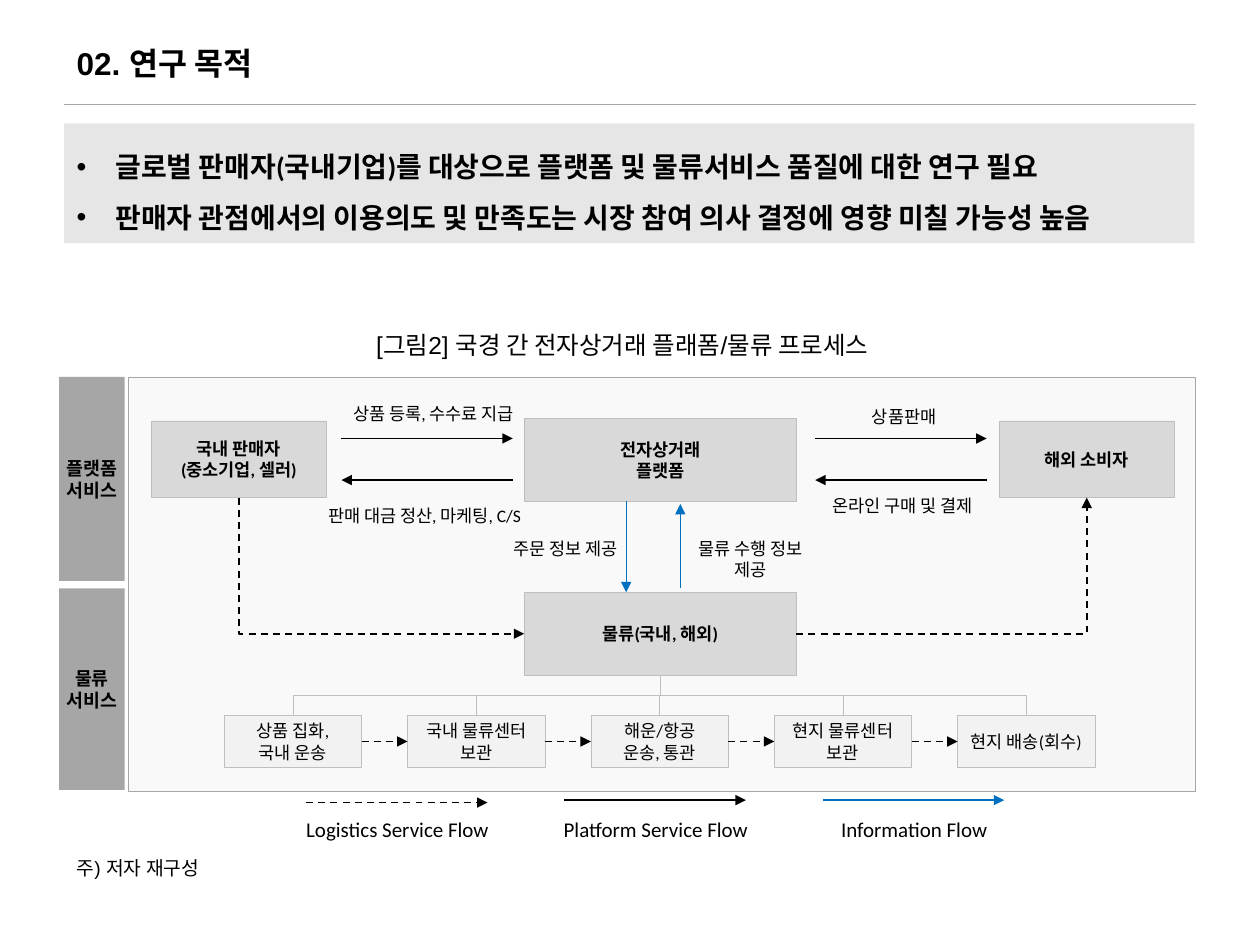
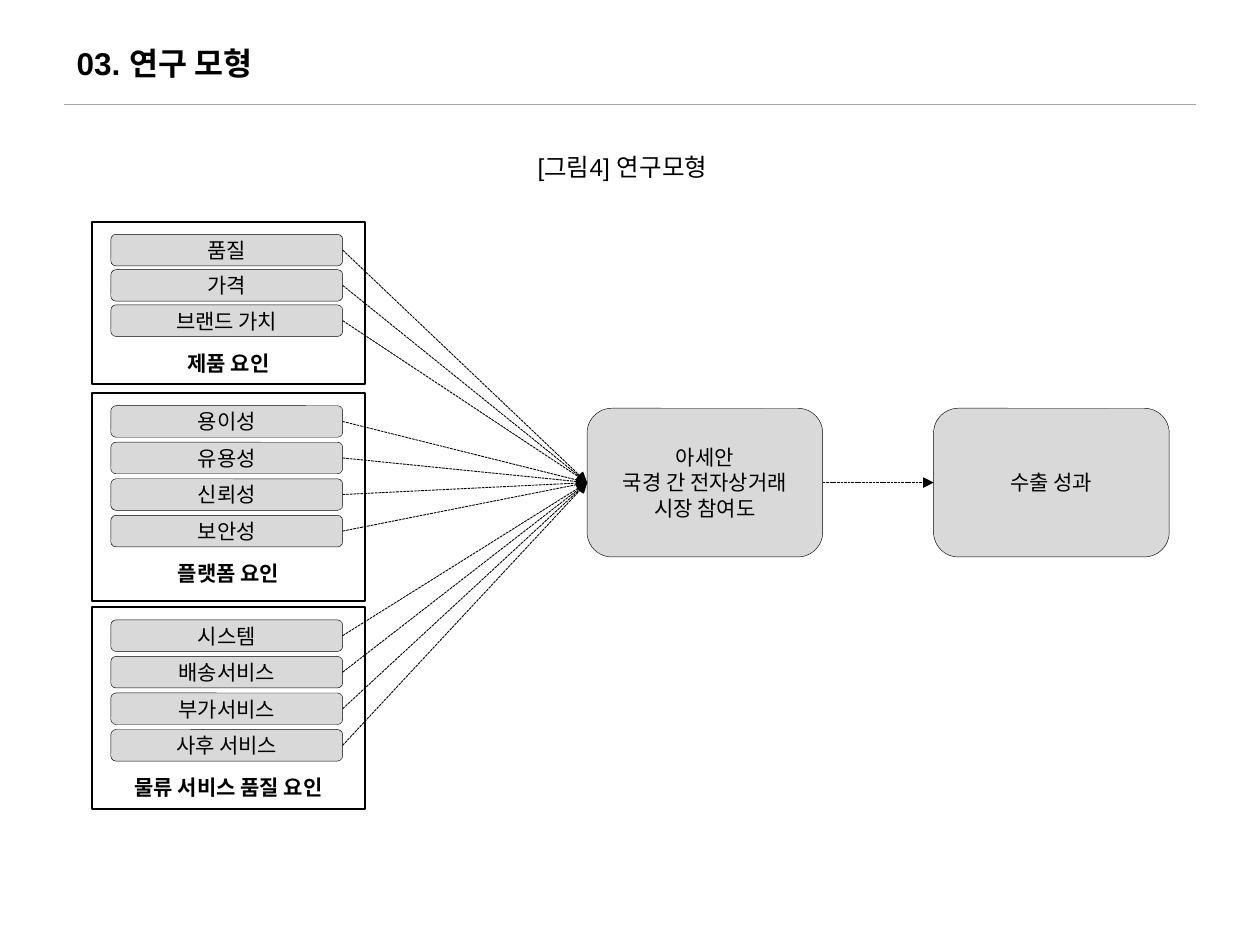
import lxml.etree
import pptx
import pptx.dml.color
import pptx.enum.dml
import pptx.enum.shapes
import pptx.enum.text
import pptx.oxml.ns
import pptx.util

Inches, Pt = pptx.util.Inches, pptx.util.Pt
qn = pptx.oxml.ns.qn
SHAPE = pptx.enum.shapes.MSO_SHAPE
CONNECTOR = pptx.enum.shapes.MSO_CONNECTOR
ALIGN = pptx.enum.text.PP_ALIGN
ANCHOR = pptx.enum.text.MSO_ANCHOR
DASH = pptx.enum.dml.MSO_LINE.DASH
FINE_DASH = pptx.enum.dml.MSO_LINE.SQUARE_DOT

BLACK, BLUE = "000000", "0070C0"
BAND, RULE, EDGE = "E7E6E6", "A6A6A6", "BFBFBF"
BOX, PALE = "D9D9D9", "F2F2F2"
HEADING, BODY = "Arial", "Calibri"
TOP, LEFT, BOTTOM, RIGHT = range(4)


def rgb(hex_string):
    return pptx.dml.color.RGBColor.from_string(hex_string)


def write(frame, text, size, font=BODY, bold=False, align=ALIGN.CENTER):
    frame.word_wrap = True
    frame.text = text
    for paragraph in frame.paragraphs:
        paragraph.alignment = align
        for run in paragraph.runs:
            run.font.size = Pt(size)
            run.font.name = font
            run.font.bold = bold
            run.font.color.rgb = rgb(BLACK)


def label(slide, box, text, size, **style):
    textbox = slide.shapes.add_textbox(*map(Inches, box))
    write(textbox.text_frame, text, size, **style)


def block(slide, box, fill=None, edge=None, weight=0.25, kind=SHAPE.RECTANGLE,
          text="", size=10, bold=False, align=ALIGN.CENTER, side_inset=0.1):
    shape = slide.shapes.add_shape(kind, *map(Inches, box))
    shape.shadow.inherit = False
    if fill:
        shape.fill.solid()
        shape.fill.fore_color.rgb = rgb(fill)
    else:
        shape.fill.background()
    if edge:
        shape.line.color.rgb = rgb(edge)
        shape.line.width = Pt(weight)
    else:
        shape.line.fill.background()
    if text:
        frame = shape.text_frame
        frame.vertical_anchor = ANCHOR.MIDDLE
        frame.margin_left = frame.margin_right = Inches(side_inset)
        write(frame, text, size, bold=bold, align=align)
    return shape


def connect(slide, start, end, color=BLACK, weight=1, dash=None, arrow=True,
            kind=CONNECTOR.STRAIGHT):
    """Draw a line; each end is a point (x, y) or a pair (shape, side)."""
    joined = [isinstance(stop[0], (int, float)) is False for stop in (start, end)]
    points = [(0, 0) if glued else stop for glued, stop in zip(joined, (start, end))]
    line = slide.shapes.add_connector(
        kind, *(Inches(value) for point in points for value in point))
    if joined[0]:
        line.begin_connect(*start)
    if joined[1]:
        line.end_connect(*end)
    line.line.color.rgb = rgb(color)
    line.line.width = Pt(weight)
    if dash:
        line.line.dash_style = dash
    properties = line._element.spPr
    if arrow:
        lxml.etree.SubElement(properties.find(qn("a:ln")), qn("a:tailEnd"), type="triangle")
    lxml.etree.SubElement(properties, qn("a:effectLst"))
    return line


def single_bend(line):
    line._element.spPr.find(qn("a:prstGeom")).set("prst", "bentConnector2")


def leave_downward(line):
    """Turn an elbow so that its first leg runs down instead of sideways."""
    goes_left = line.end_x < line.begin_x
    left, top, width, height = line.left, line.top, line.width, line.height
    frame = line._element.spPr.find(qn("a:xfrm"))
    frame.attrib.clear()
    frame.set("rot", "5400000" if goes_left else "16200000")
    if not goes_left:
        frame.set("flipH", "1")
    line.left = left + (width - height) // 2
    line.top = top + (height - width) // 2
    line.width, line.height = height, width


def new_slide(deck, title, caption, caption_top):
    slide = deck.slides.add_slide(deck.slide_layouts[6])
    connect(slide, (0.51, 0.83), (9.49, 0.83), RULE, 0.5, arrow=False)
    label(slide, (0.51, 0.3, 6.97, 0.4), title, 18, font=HEADING, bold=True, align=ALIGN.LEFT)
    label(slide, (2.03, caption_top, 5.82, 0.34), caption, 14, font=HEADING)
    return slide


def key_points(slide, box, points):
    band = block(slide, box, BAND, text="\n".join(points), size=16, bold=True, align=ALIGN.LEFT)
    for paragraph in band.text_frame.paragraphs:
        paragraph.line_spacing = 1.5
        properties = paragraph._p.get_or_add_pPr()
        properties.set("marL", str(Inches(0.31)))
        properties.set("indent", str(-Inches(0.31)))
        lxml.etree.SubElement(properties, qn("a:buFont"), typeface="Arial")
        lxml.etree.SubElement(properties, qn("a:buChar"), char="•")


def process_diagram(slide, box):
    left, top, width, height = box

    def place(x, y, w, h):
        return left + x, top + y, w, h

    def point(x, y):
        return left + x, top + y

    panel = block(slide, place(0.55, 0, width - 0.55, height), PALE, RULE)
    color = panel._element.spPr.find(qn("a:solidFill"))[0]
    lxml.etree.SubElement(color, qn("a:alpha"), val="40000")

    for y, h, text in ((0, 1.62, "플랫폼\n서비스"), (1.68, 1.6, "물류\n서비스")):
        block(slide, place(0, y, 0.52, h), RULE, text=text, size=10.5, bold=True, side_inset=0)

    def actor(x, y, w, h, text, side_inset=0.1):
        return block(slide, place(x, y, w, h), BOX, EDGE, text=text, bold=True,
                     side_inset=side_inset)

    seller = actor(0.73, 0.35, 1.39, 0.61, "국내 판매자\n(중소기업, 셀러)", 0)
    actor(3.69, 0.33, 2.16, 0.66, "전자상거래\n플랫폼")
    consumer = actor(7.46, 0.35, 1.39, 0.61, "해외 소비자")
    logistics = actor(3.69, 1.71, 2.16, 0.66, "물류(국내, 해외)")

    delivery = connect(slide, (logistics, RIGHT), (consumer, BOTTOM), dash=DASH,
                       kind=CONNECTOR.ELBOW)
    pickup = connect(slide, (seller, BOTTOM), (logistics, LEFT), dash=DASH,
                     kind=CONNECTOR.ELBOW)
    leave_downward(pickup)
    single_bend(delivery)
    single_bend(pickup)

    for x in (2.24, 6):
        connect(slide, point(x, 0.49), point(x + 1.36, 0.49))
        connect(slide, point(x + 1.36, 0.82), point(x, 0.82))
    connect(slide, point(4.5, 0.99), point(4.5, 1.71), BLUE, 0.5)
    connect(slide, point(4.93, 1.68), point(4.93, 1.01), BLUE, 0.5)
    for x, y, w, text in ((2.16, 0.16, 1.62, "상품 등록, 수수료 지급"),
                          (1.95, 0.97, 1.9, "판매 대금 정산, 마케팅, C/S"),
                          (6.2, 0.18, 1.01, "상품판매"),
                          (6.02, 0.89, 1.35, "온라인 구매 및 결제"),
                          (3.43, 1.23, 1.17, "주문 정보 제공"),
                          (4.9, 1.23, 1.17, "물류 수행 정보 제공")):
        label(slide, place(x, y, w, 0.27), text, 10)

    steps = ("상품 집화,\n국내 운송", "국내 물류센터\n보관", "해운/항공\n운송, 통관",
             "현지 물류센터\n보관", "현지 배송(회수)")
    previous = None
    for index, text in enumerate(steps):
        step = block(slide, place(1.31 + 1.455 * index, 2.69, 1.09, 0.41), PALE, EDGE, text=text)
        branch = connect(slide, (logistics, BOTTOM), (step, TOP), EDGE, 0.5, arrow=False,
                         kind=CONNECTOR.ELBOW)
        leave_downward(branch)
        if previous:
            connect(slide, (previous, RIGHT), (step, LEFT), dash=DASH)
        previous = step


def flow_legend(slide, box):
    left, top, width, height = box
    flows = (("Logistics Service Flow", BLACK, DASH), ("Platform Service Flow", BLACK, None),
             ("Information Flow", BLUE, None))
    pitch = width / len(flows)
    for index, (text, color, dash) in enumerate(flows):
        x = left + pitch * index
        y = top + 0.02 if dash else top
        connect(slide, (x + 0.3, y), (x + 1.74, y), color, dash=dash)
        label(slide, (x, top + 0.08, pitch, height - 0.08), text, 12)


def factor_group(slide, box, name, factors, pitch):
    left, top, width, height = box
    block(slide, box, edge=BLACK, weight=1)
    chips = [block(slide, (left + 0.15, top + 0.1 + pitch * index, 1.84, 0.25), BOX, BLACK,
                   kind=SHAPE.ROUNDED_RECTANGLE, text=factor, size=12)
             for index, factor in enumerate(factors)]
    label_top = top + 0.1 + pitch * (len(factors) - 1) + 0.31
    label(slide, (left, label_top, width, 0.31), name, 12, bold=True)
    return chips


def research_model(slide, box):
    left, top, width, height = box
    groups = ((0, 1.29, 0.28, "제품 요인", ("품질", "가격", "브랜드 가치")),
              (1.36, 1.65, 0.29, "플랫폼 요인", ("용이성", "유용성", "신뢰성", "보안성")),
              (3.06, 1.6, 0.29, "물류 서비스 품질 요인",
               ("시스템", "배송서비스", "부가서비스", "사후 서비스")))
    factors = []
    for y, h, pitch, name, names in groups:
        factors += factor_group(slide, (left, top + y, 2.17, h), name, names, pitch)

    participation, performance = (
        block(slide, (x, top + 1.48, 1.87, 1.18), BOX, BLACK, kind=SHAPE.ROUNDED_RECTANGLE,
              text=text, size=12)
        for x, text in ((left + 3.93, "아세안\n국경 간 전자상거래\n시장 참여도"),
                        (left + width - 1.87, "수출 성과")))
    for factor in factors:
        connect(slide, (factor, RIGHT), (participation, LEFT), weight=0.5, dash=FINE_DASH)
    connect(slide, (participation, RIGHT), (performance, LEFT), weight=0.5, dash=FINE_DASH)


def main():
    deck = pptx.Presentation()
    deck.slide_width, deck.slide_height = Inches(10), Inches(7.5)

    purpose = new_slide(deck, "02. 연구 목적",
                        "[그림2] 국경 간 전자상거래 플래폼/물류 프로세스", 2.57)
    key_points(purpose, (0.51, 0.98, 8.97, 0.95),
               ("글로벌 판매자(국내기업)를 대상으로 플랫폼 및 물류서비스 품질에 대한 연구 필요",
                "판매자 관점에서의 이용의도 및 만족도는 시장 참여 의사 결정에 영향 미칠 가능성 높음"))
    process_diagram(purpose, (0.47, 2.99, 9.02, 3.29))
    flow_legend(purpose, (2.13, 6.35, 6.15, 0.39))
    label(purpose, (0.51, 6.75, 4.49, 0.29), "주) 저자 재구성", 11, font=HEADING,
          align=ALIGN.LEFT)

    model = new_slide(deck, "03. 연구 모형", "[그림4] 연구모형", 1.16)
    research_model(model, (0.73, 1.76, 8.55, 4.66))

    deck.save("out.pptx")


if __name__ == "__main__":
    main()
